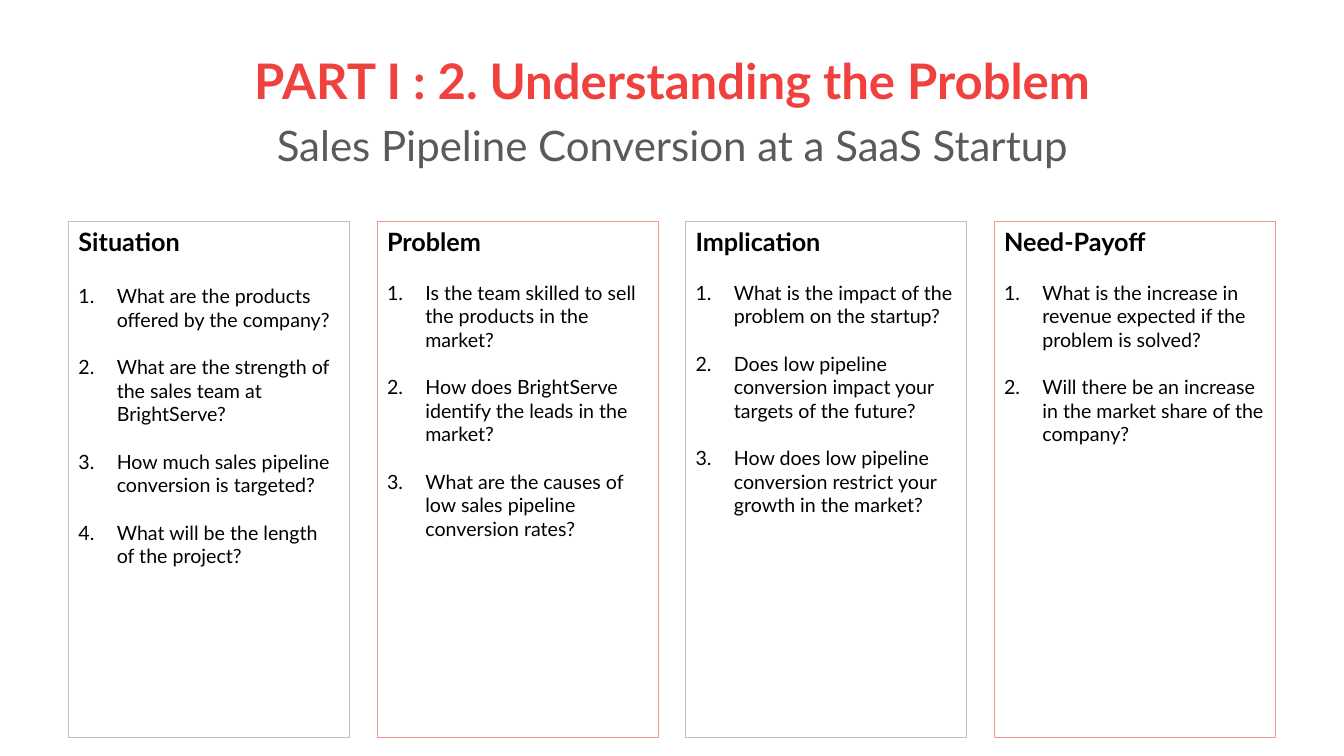
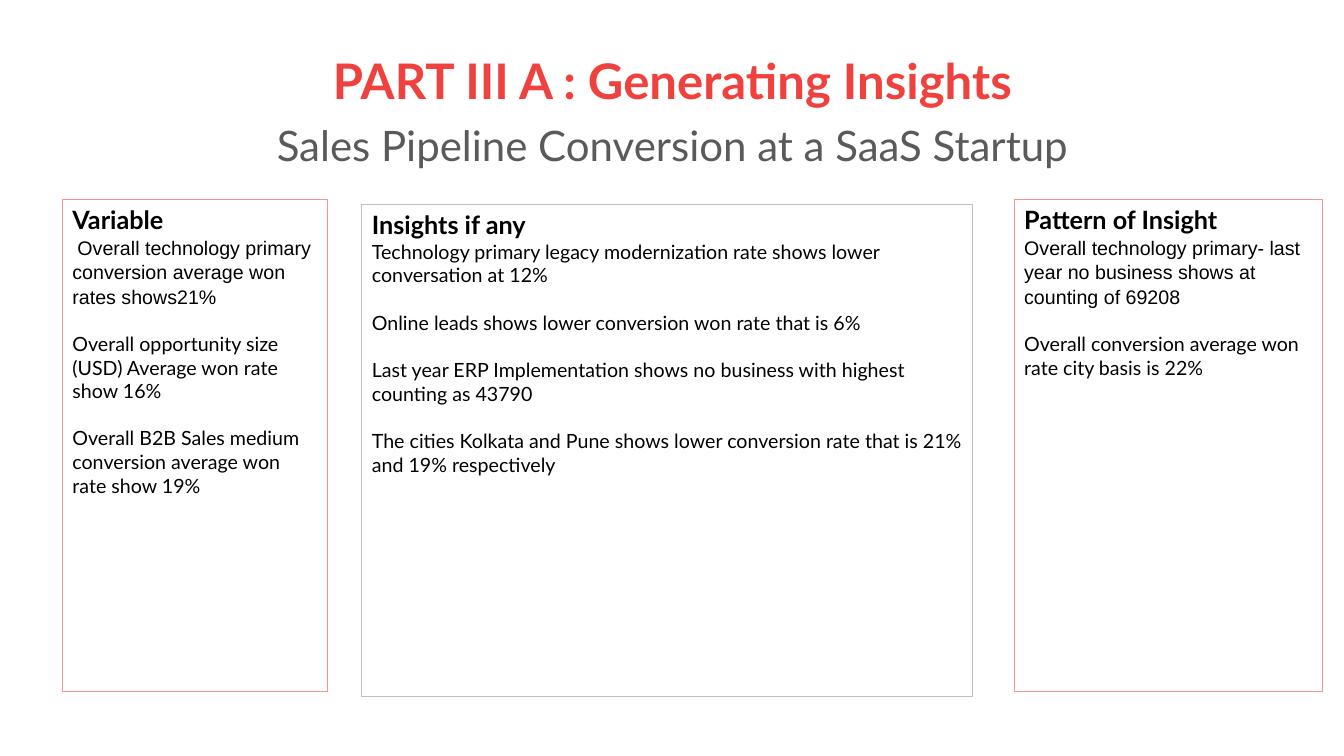
from pptx import Presentation
from pptx.util import Inches, Pt
from pptx.dml.color import RGBColor
from pptx.enum.shapes import MSO_SHAPE
from pptx.enum.text import MSO_ANCHOR, PP_ALIGN
from lxml.etree import SubElement
from pptx.oxml.ns import qn

FONT, ALT = "Lato", "Arial"
RED, GREY, BLACK = "EF413D", "5A5A5A", "000000"
EDGES = ["BFBFBF", "F69492"]
TOPIC = "Sales Pipeline Conversion at a SaaS Startup"
GAP = 17  # points between items, one line of body text

# Slide 1: heading, space under it, numbered questions
SPIN = [
    ("Situation", 19.5, [
        "What are the products offered by the company?",
        "What are the strength of the sales team at BrightServe?",
        "How much sales pipeline conversion is targeted?",
        "What will be the length of the project?"]),
    ("Problem", GAP, [
        "Is the team skilled to sell the products in the market?",
        "How does BrightServe identify the leads in the market?",
        "What are the causes of low sales pipeline conversion rates?"]),
    ("Implication", GAP, [
        "What is the impact of the problem on the startup?",
        "Does low pipeline conversion impact your targets of the future?",
        "How does low pipeline conversion restrict your growth in the market?"]),
    ("Need-Payoff", GAP, [
        "What is the increase in revenue expected if the problem is solved?",
        "Will there be an increase in the market share of the company?"]),
]

# Slide 2: box, edge, heading, font and indent of the first item, items
NOTES = [
    ((0.62, 1.98, 2.63, 4.88), EDGES[1], "Variable", ALT, 0.05, [
        "Overall technology primary conversion average won rates shows21%",
        "Overall opportunity size (USD) Average won rate show 16%",
        "Overall B2B Sales medium conversion average won rate show 19%"]),
    ((3.59, 2.03, 6.06, 4.88), EDGES[0], "Insights if any", FONT, 0, [
        "Technology primary legacy modernization rate shows lower conversation at 12%",
        "Online leads shows lower conversion won rate that is 6%",
        "Last year ERP Implementation shows no business with highest counting as 43790",
        "The cities Kolkata and Pune shows lower conversion rate that is 21% and 19% respectively"]),
    ((10.06, 1.98, 3.06, 4.88), EDGES[1], "Pattern of Insight", ALT, 0, [
        "Overall technology primary- last year no business shows at counting of 69208",
        "Overall conversion average won rate city basis is 22%"]),
]


def color(text):
    return RGBColor.from_string(text)


def write(para, text, size, tint=BLACK, bold=False, font=FONT, before=0):
    para.text = text
    para.space_before = Pt(before)
    for run in para.runs:
        run.font.name = font
        run.font.size = Pt(size)
        run.font.bold = bold
        run.font.color.rgb = color(tint)


def indent(para, left, first):
    props = para._p.get_or_add_pPr()
    props.set("marL", str(Inches(left)))
    props.set("indent", str(Inches(first)))
    return props


def number(para):
    props = indent(para, 0.38, -0.38)
    SubElement(props, qn("a:buFont"), typeface=FONT)
    SubElement(props, qn("a:buAutoNum"), type="arabicPeriod")


def title(slide, text):
    box = slide.shapes.add_textbox(
        Inches(0.92), Inches(0.4), Inches(11.5), Inches(1.45))
    frame = box.text_frame
    frame.word_wrap = True
    frame.vertical_anchor = MSO_ANCHOR.MIDDLE
    write(frame.paragraphs[0], text, 35, RED, True)
    write(frame.add_paragraph(), TOPIC, 30, GREY, before=10.8)
    for para in frame.paragraphs:
        para.alignment = PP_ALIGN.CENTER
        para.line_spacing = 0.9


def panel(slide, box, edge, head, items, top=0, font=FONT):
    """Outlined box with a heading; returns the item paragraphs."""
    shape = slide.shapes.add_shape(MSO_SHAPE.RECTANGLE, *map(Inches, box))
    shape.shadow.inherit = False
    shape.fill.background()
    shape.line.color.rgb = color(edge)
    shape.line.width = Pt(0.75)
    frame = shape.text_frame
    frame.word_wrap = True
    frame.vertical_anchor = MSO_ANCHOR.TOP
    write(frame.paragraphs[0], head, 18, bold=True)
    for i, item in enumerate(items):
        write(frame.add_paragraph(), item, 14, before=GAP if i else top,
              font=FONT if i else font)
    for para in frame.paragraphs:
        para.alignment = PP_ALIGN.LEFT
    return frame.paragraphs[1:]


def problem(slide):
    title(slide, "PART I : 2. Understanding the Problem")
    for i, (head, top, items) in enumerate(SPIN):
        box = (0.68 + i * 3.06, 2.2, 2.79, 5.12)
        for para in panel(slide, box, EDGES[i % 2], head, items, top):
            number(para)


def insight(slide):
    title(slide, "PART III A : Generating Insights")
    for box, edge, head, font, first, items in NOTES:
        lead = panel(slide, box, edge, head, items, font=font)[0]
        indent(lead, 0, first)
        if font == ALT:
            lead.line_spacing = 1.04  # same pitch as the main font


def main():
    deck = Presentation()
    deck.slide_width, deck.slide_height = Inches(13.33), Inches(7.5)
    for build in (problem, insight):
        build(deck.slides.add_slide(deck.slide_layouts[6]))
    deck.save("out.pptx")


if __name__ == "__main__":
    main()
